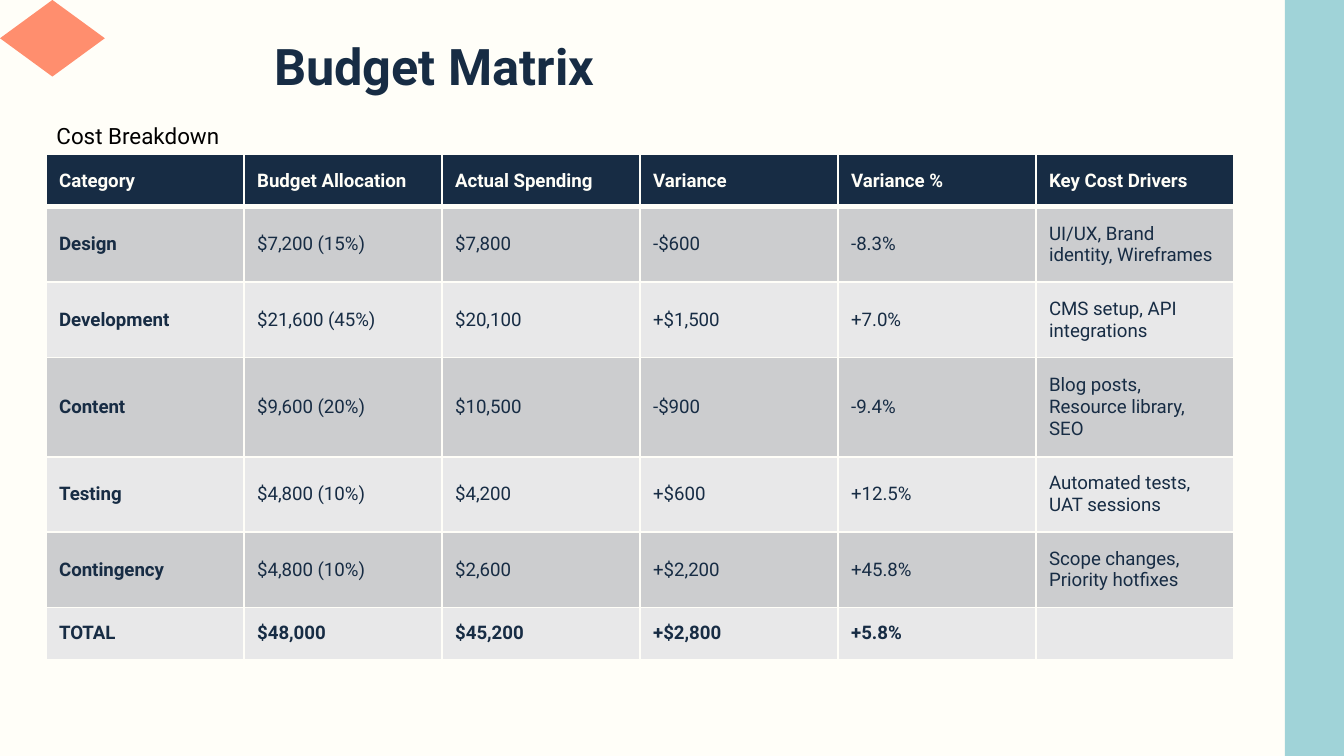
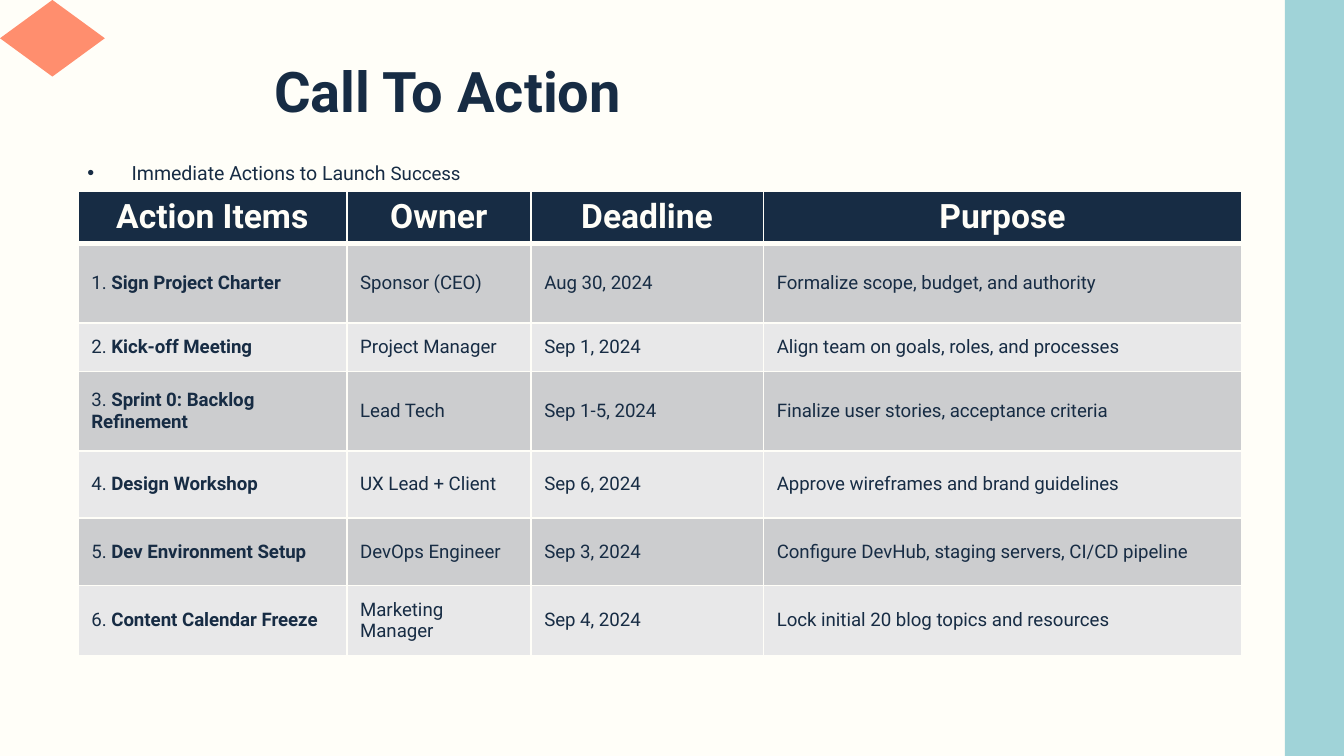
from lxml.etree import SubElement as Sub
from pptx import Presentation
from pptx.dml.color import RGBColor as RGB
from pptx.enum.shapes import MSO_SHAPE as Geo
from pptx.enum.text import MSO_ANCHOR as Anchor, MSO_AUTO_SIZE as Fit, PP_ALIGN as Align
from pptx.oxml.ns import qn
from pptx.util import Inches, Pt

# Shared look
FONT = "Roboto"
NAVY, CREAM, BLACK = "172C44", "FFFEF8", "000000"
TEAL, CORAL = "A0D3D8", "FF8E6E"
BANDS = ("CCCDCF", "E8E8E9")
WIDE = 10
HIGH = WIDE * 9 / 16

# Content
COSTS = [
    ("Category", "Budget Allocation", "Actual Spending", "Variance",
     "Variance %", "Key Cost Drivers"),
    ("Design", "$7,200 (15%)", "$7,800", "-$600", "-8.3%",
     "UI/UX, Brand identity, Wireframes"),
    ("Development", "$21,600 (45%)", "$20,100", "+$1,500", "+7.0%",
     "CMS setup, API integrations"),
    ("Content", "$9,600 (20%)", "$10,500", "-$900", "-9.4%",
     "Blog posts, Resource library, SEO"),
    ("Testing", "$4,800 (10%)", "$4,200", "+$600", "+12.5%",
     "Automated tests, UAT sessions"),
    ("Contingency", "$4,800 (10%)", "$2,600", "+$2,200", "+45.8%",
     "Scope changes, Priority hotfixes"),
    ("TOTAL", "$48,000", "$45,200", "+$2,800", "+5.8%", ""),
]
TASKS = [
    ("Action Items", "Owner", "Deadline", "Purpose"),
    ("Sign Project Charter", "Sponsor (CEO)", "Aug 30, 2024",
     "Formalize scope, budget, and authority"),
    ("Kick-off Meeting", "Project Manager", "Sep 1, 2024",
     "Align team on goals, roles, and processes"),
    ("Sprint 0: Backlog Refinement", "Lead Tech", "Sep 1-5, 2024",
     "Finalize user stories, acceptance criteria"),
    ("Design Workshop", "UX Lead + Client", "Sep 6, 2024",
     "Approve wireframes and brand guidelines"),
    ("Dev Environment Setup", "DevOps Engineer", "Sep 3, 2024",
     "Configure DevHub, staging servers, CI/CD pipeline"),
    ("Content Calendar Freeze", "Marketing Manager", "Sep 4, 2024",
     "Lock initial 20 blog topics and resources"),
]
SLIDES = [
    dict(title="Budget Matrix", size=27, head=(1.94, 0.31, 5.17, 0.5),
         lead=[("Cost Breakdown", 12)], ink=BLACK, dot=False,
         body=(0.15, 0.81, 9.25, 4.64),
         rows=COSTS, spot=(0.34, 1.15), cols=[8.84 / 6] * 6,
         tall=[0.39, 0.56, 0.56, 0.74, 0.56, 0.56, 0.39],
         top=dict(size=10), pad=0.1, total=True, count=False),
    dict(title="Call To Action", size=30, head=(1.94, 0.29, 5.17, 0.73),
         lead=[("Immediate Actions to Launch ", 10.5), ("Success", 10)],
         ink=NAVY, dot=True, body=(0.38, 1.1, 8.86, 4.06),
         rows=TASKS, spot=(0.58, 1.42), cols=[2, 1.37, 1.73, 3.56],
         tall=[0.35, 0.59, 0.33, 0.59, 0.5, 0.5, 0.5],
         top=dict(size=18, align=Align.CENTER), pad=0.05, total=False, count=True),
]


def paint(fill, tone):
    fill.solid()
    fill.fore_color.rgb = RGB.from_string(tone)


def write(para, text, size=10, tone=NAVY, bold=False, align=Align.LEFT):
    """Add one run of text to a paragraph."""
    para.alignment = align
    if not text:
        Sub(para._p, qn("a:endParaRPr"), sz=str(int(size * 100)))
        return
    run = para.add_run()
    run.text = text
    font = run.font
    font.name, font.size, font.bold = FONT, Pt(size), bold
    font.color.rgb = RGB.from_string(tone)


def shape(slide, kind, box, tone):
    item = slide.shapes.add_shape(kind, *map(Inches, box))
    item.shadow.inherit = False
    paint(item.fill, tone)
    item.line.fill.background()


def place(item, box, anchor):
    """Move a placeholder and return its first paragraph."""
    item.left, item.top, item.width, item.height = map(Inches, box)
    frame = item.text_frame
    frame.word_wrap, frame.auto_size = True, Fit.NONE
    frame.vertical_anchor = anchor
    frame.margin_left = frame.margin_right = Inches(0.1)
    frame.margin_top = frame.margin_bottom = Inches(0.1)
    return frame.paragraphs[0]


def edge(cell, **pts):
    """Draw the four cell borders in the background colour."""
    props = cell._tc.get_or_add_tcPr()
    for side in "LRTB":
        line = Sub(props, qn(f"a:ln{side}"), w=str(Pt(pts.get(side, 1))))
        Sub(Sub(line, qn("a:solidFill")), qn("a:srgbClr"), val=CREAM)


def grid(slide, data):
    rows, cols, tall = data["rows"], data["cols"], data["tall"]
    size = map(Inches, (*data["spot"], sum(cols), sum(tall)))
    table = slide.shapes.add_table(len(rows), len(cols), *size).table
    table.horz_banding = False
    for col, width in zip(table.columns, cols):
        col.width = Inches(width)
    for r, row in enumerate(rows):
        table.rows[r].height = Inches(tall[r])
        last = data["total"] and r == len(rows) - 1
        for c, text in enumerate(row):
            cell = table.cell(r, c)
            para = cell.text_frame.paragraphs[0]
            pad = 0.1 if r else data["pad"]
            cell.margin_left = cell.margin_right = Inches(0.1)
            cell.margin_top = cell.margin_bottom = Inches(pad)
            cell.vertical_anchor = Anchor.MIDDLE if pad == 0.1 else Anchor.TOP
            # A thick rule parts the header from the body
            edge(cell, T=3 if r == 1 else 1, B=1 if r else 3)
            paint(cell.fill, BANDS[(r - 1) % 2] if r else NAVY)
            if r == 0:
                write(para, text, tone=CREAM, bold=True, **data["top"])
                continue
            if c == 0 and data["count"]:
                write(para, f"{r}. ")
            write(para, text, bold=c == 0 or last)


def build(deck, data):
    slide = deck.slides.add_slide(deck.slide_layouts[1])

    # Side band and corner diamond
    shape(slide, Geo.RECTANGLE, (WIDE - 0.44, 0, 0.44, HIGH), TEAL)
    shape(slide, Geo.DIAMOND, (0, 0, 0.78, 0.57), CORAL)

    # Title and lead line
    para = place(slide.shapes.title, data["head"], Anchor.BOTTOM)
    write(para, data["title"], size=data["size"], bold=True)
    para = place(slide.placeholders[1], data["body"], Anchor.TOP)
    para.space_before = Pt(10)
    for text, size in data["lead"]:
        write(para, text, size=size, tone=data["ink"])
    props = para._p.get_or_add_pPr()
    props.set("marL", str(Inches(0.5)))
    props.set("indent", str(Inches(-0.33)))
    if data["dot"]:
        Sub(props, qn("a:buChar"), char="•")
    else:
        Sub(props, qn("a:buNone"))

    grid(slide, data)


def main():
    deck = Presentation()
    deck.slide_width, deck.slide_height = Inches(WIDE), Inches(HIGH)
    paint(deck.slide_master.background.fill, CREAM)
    for data in SLIDES:
        build(deck, data)
    deck.save("out.pptx")


if __name__ == "__main__":
    main()
